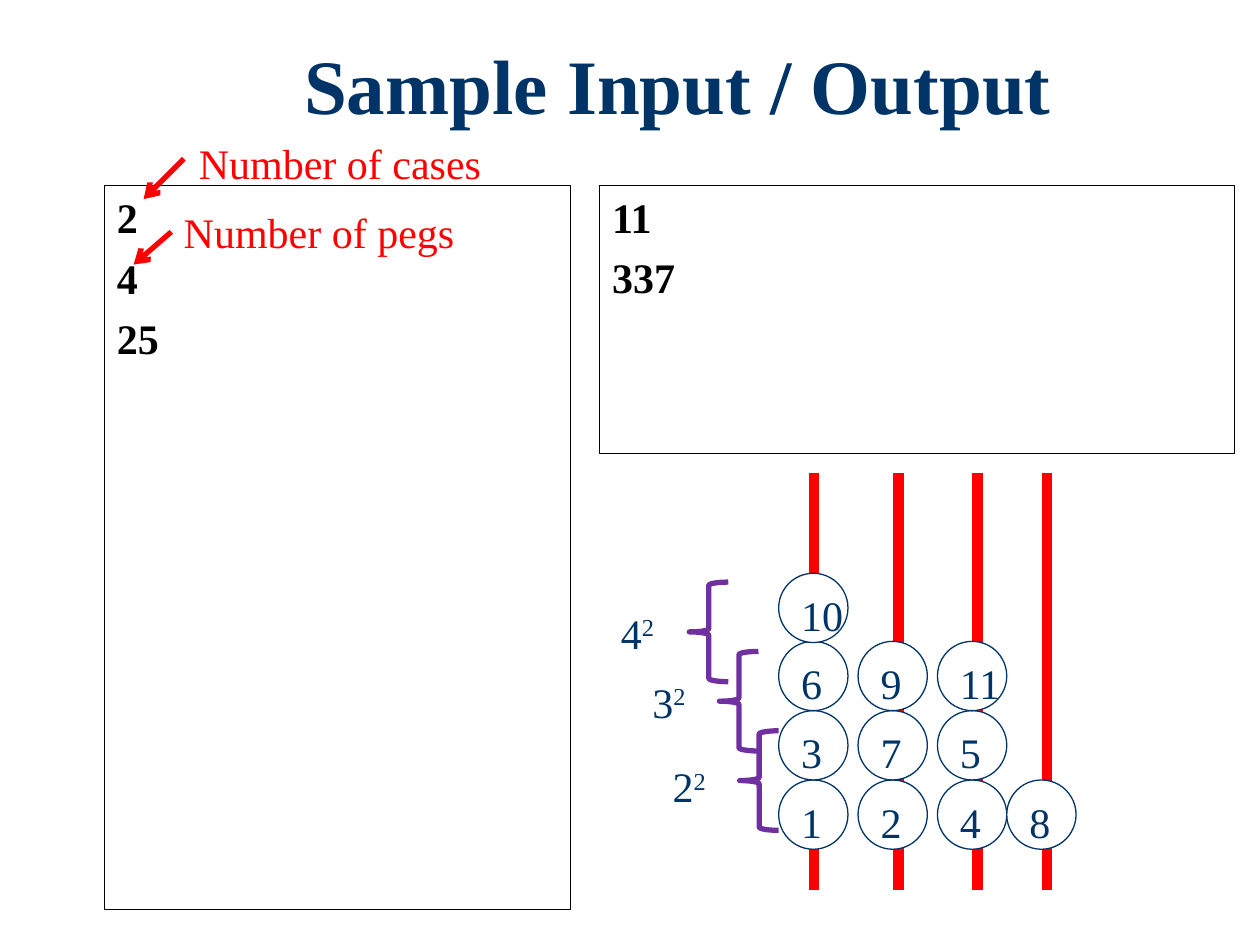
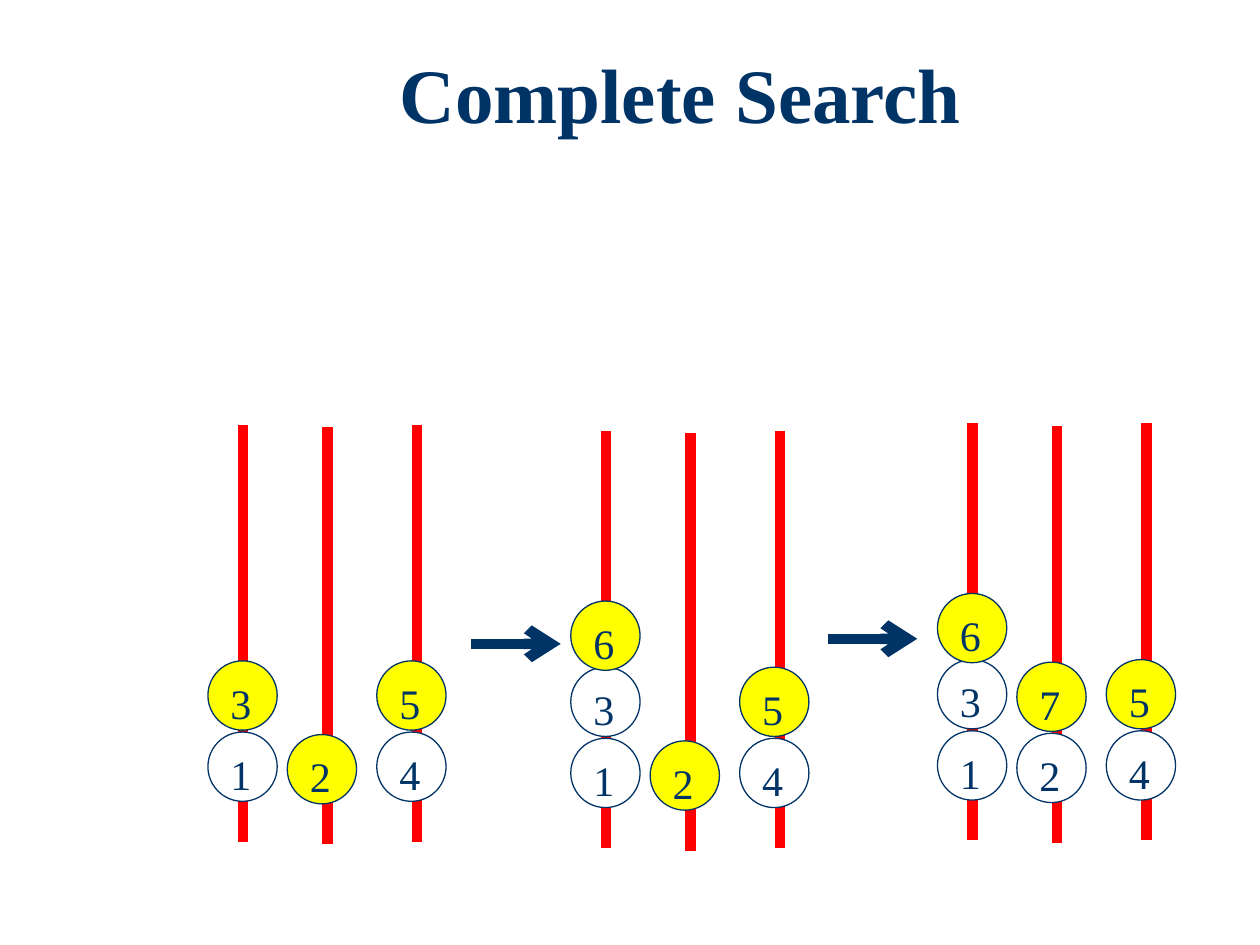
from dataclasses import dataclass
from typing import Any

from lxml.etree import SubElement
from pptx import Presentation
from pptx.dml.color import RGBColor
from pptx.enum.shapes import MSO_CONNECTOR, MSO_SHAPE
from pptx.enum.text import MSO_ANCHOR, PP_ALIGN
from pptx.oxml.ns import qn
from pptx.util import Emu, Inches, Pt

COLUMNS, ROWS = 100, 75
SLIDE_WIDTH, SLIDE_HEIGHT = Inches(10), Inches(7.5)
FONT = "Times New Roman"
NAVY, RED, PURPLE = "003366", "FF0000", "7030A0"
BLACK, WHITE, YELLOW = "000000", "FFFFFF", "FFFF00"

DISC_SIZE = 5.5
PEG_RISE, PEG_LENGTH = 24.4, 33.1
BRACE_WIDTH, BRACE_HEIGHT = 3.1, 7.9

TITLE_TEXT = {"size": Pt(44), "bold": True}
BODY_TEXT = {"size": Pt(24), "bold": True}
LABEL_TEXT = {"size": Pt(24), "bold": False}


@dataclass(frozen=True)
class Area:
    left: float
    top: float
    width: float
    height: float

    def lengths(self) -> tuple[Emu, Emu, Emu, Emu]:
        return across(self.left), down(self.top), across(self.width), down(self.height)


@dataclass(frozen=True)
class Peg:
    disc_offset: float
    line_offset: float
    drop: float = 0


@dataclass(frozen=True)
class Board:
    left: float
    base: float
    pegs: tuple[Peg, ...]
    rises: tuple[float, ...]
    stacks: tuple[tuple[int, ...], ...]
    top_fill: str = WHITE


@dataclass(frozen=True)
class Arrow:
    start: tuple[float, float]
    end: tuple[float, float]
    color: str
    weight: float


@dataclass(frozen=True)
class SquareMark:
    number: str
    brace_left: float
    brace_top: float
    label_left: float
    label_top: float


FOUR_PEGS = (Peg(0, 2.8), Peg(6.3, 9.5), Peg(12.6, 15.8), Peg(18.1, 21.3))
THREE_PEGS = (Peg(0, 2.8), Peg(6.3, 9.5, 0.2), Peg(13.4, 16.6))
SEARCH_RISES = (0, 5.65, 10.9)

SAMPLE_BOARD = Board(61.8, 61.9, FOUR_PEGS, (0, 5.5, 11, 16.4),
                     ((1, 3, 6, 10), (2, 7, 9), (4, 5, 11), (8,)))
SEARCH_BOARDS = tuple(
    Board(left, base, THREE_PEGS, SEARCH_RISES, stacks, YELLOW)
    for left, base, stacks in (
        (16.5, 58.1, ((1, 3), (2,), (4, 5))),
        (45.3, 58.6, ((1, 3, 6), (2,), (4, 5))),
        (74.4, 58.0, ((1, 3, 6), (2, 7), (4, 5))),
    )
)
SAMPLE_ARROWS = (
    Arrow((14.6, 12.6), (11.4, 15.8), RED, 3),
    Arrow((13.6, 18.4), (10.6, 21), RED, 3),
)
SEARCH_ARROWS = (
    Arrow((37.4, 51.1), (44.5, 51.1), NAVY, 6),
    Arrow((65.7, 50.7), (72.8, 50.7), NAVY, 6),
)
SAMPLE_PANELS = (
    (Area(8.3, 14.7, 37, 57.5), ("2", "4", "25")),
    (Area(47.6, 14.7, 50.4, 21.3), ("11", "337")),
)
SAMPLE_LABELS = (
    (Area(14.8, 10.4, 24.6, 5), "Number of cases"),
    (Area(13.6, 15.9, 23.7, 5), "Number of pegs"),
)
SQUARE_MARKS = (
    SquareMark("2", 58.7, 58, 52.4, 59.9),
    SquareMark("3", 57.1, 51.7, 50.8, 53.2),
    SquareMark("4", 54.7, 46.2, 48.3, 47.7),
)


def across(columns: float) -> Emu:
    return Emu(round(SLIDE_WIDTH * columns / COLUMNS))


def down(rows: float) -> Emu:
    return Emu(round(SLIDE_HEIGHT * rows / ROWS))


def color_of(value: str) -> RGBColor:
    return RGBColor.from_string(value)


def add_span(para: Any, text: str, color: str, style: dict[str, Any]) -> Any:
    span = para.add_run()
    span.text = text
    for name, value in {"name": FONT, **style}.items():
        setattr(span.font, name, value)
    span.font.color.rgb = color_of(color)
    return span


def add_textbox(page: Any, area: Area, wrap: bool = False) -> Any:
    box = page.shapes.add_textbox(*area.lengths())
    box.text_frame.word_wrap = wrap
    return box.text_frame


def add_title(page: Any, area: Area, text: str) -> None:
    frame = add_textbox(page, area, wrap=True)
    frame.vertical_anchor = MSO_ANCHOR.MIDDLE
    frame.margin_bottom = down(1.3)
    para = frame.paragraphs[0]
    para.alignment = PP_ALIGN.CENTER
    para.line_spacing = 0.9
    add_span(para, text, NAVY, TITLE_TEXT)


def add_outlined(page: Any, kind: MSO_SHAPE, area: Area, color: str,
                 weight: float, fill: str | None = None) -> Any:
    shape = page.shapes.add_shape(kind, *area.lengths())
    shape.shadow.inherit = False
    shape.line.color.rgb = color_of(color)
    shape.line.width = Pt(weight)
    if fill is None:
        shape.fill.background()
    else:
        shape.fill.solid()
        shape.fill.fore_color.rgb = color_of(fill)
    return shape


def add_panel(page: Any, area: Area, lines: tuple[str, ...]) -> None:
    frame = add_outlined(page, MSO_SHAPE.RECTANGLE, area, BLACK, 0.75).text_frame
    frame.word_wrap = True
    frame.vertical_anchor = MSO_ANCHOR.TOP
    for index, line in enumerate(lines):
        para = frame.add_paragraph() if index else frame.paragraphs[0]
        para.alignment = PP_ALIGN.JUSTIFY
        if index:
            para.space_before = Pt(5.8)
        add_span(para, line, BLACK, BODY_TEXT)


def add_line(page: Any, start: tuple[float, float], end: tuple[float, float],
             color: str, weight: float) -> Any:
    line = page.shapes.add_connector(
        MSO_CONNECTOR.STRAIGHT, across(start[0]), down(start[1]), across(end[0]), down(end[1]))
    line.line.color.rgb = color_of(color)
    line.line.width = Pt(weight)
    SubElement(line._element.spPr, qn("a:effectLst"))
    return line


def add_arrow(page: Any, arrow: Arrow) -> None:
    line = add_line(page, arrow.start, arrow.end, arrow.color, arrow.weight)
    outline = line._element.spPr.find(qn("a:ln"))
    SubElement(outline, qn("a:tailEnd"), type="arrow")


def add_disc(page: Any, left: float, top: float, number: int, fill: str) -> None:
    area = Area(left, top, DISC_SIZE, DISC_SIZE)
    frame = add_outlined(page, MSO_SHAPE.OVAL, area, NAVY, 0.75, fill).text_frame
    frame.word_wrap = False
    frame.vertical_anchor = MSO_ANCHOR.TOP
    para = frame.paragraphs[0]
    para.alignment = PP_ALIGN.LEFT
    add_span(para, str(number), NAVY, LABEL_TEXT)


def add_board(page: Any, board: Board) -> None:
    for peg, stack in zip(board.pegs, board.stacks):
        base = board.base + peg.drop
        line_left, line_top = board.left + peg.line_offset, base - PEG_RISE
        add_line(page, (line_left, line_top), (line_left, line_top + PEG_LENGTH), RED, 6)
        for number, rise in zip(stack, board.rises):
            fill = board.top_fill if number == stack[-1] else WHITE
            add_disc(page, board.left + peg.disc_offset, base - rise, number, fill)


def add_square_mark(page: Any, mark: SquareMark) -> None:
    area = Area(mark.brace_left, mark.brace_top, BRACE_WIDTH, BRACE_HEIGHT)
    add_outlined(page, MSO_SHAPE.LEFT_BRACE, area, PURPLE, 3)
    frame = add_textbox(page, Area(mark.label_left, mark.label_top, 4.8, 5))
    para = frame.paragraphs[0]
    add_span(para, mark.number, NAVY, LABEL_TEXT)
    exponent = add_span(para, "2", NAVY, LABEL_TEXT)
    exponent._r.get_or_add_rPr().set("baseline", "30000")


def build_sample(page: Any) -> None:
    add_title(page, Area(13.8, 2.9, 80, 9.2), "Sample Input / Output")
    for area, lines in SAMPLE_PANELS:
        add_panel(page, area, lines)
    for arrow in SAMPLE_ARROWS:
        add_arrow(page, arrow)
    for area, text in SAMPLE_LABELS:
        add_span(add_textbox(page, area).paragraphs[0], text, RED, LABEL_TEXT)
    add_board(page, SAMPLE_BOARD)
    for mark in SQUARE_MARKS:
        add_square_mark(page, mark)


def build_search(page: Any) -> None:
    add_title(page, Area(14, 3.6, 80, 9.2), "Complete Search")
    for arrow in SEARCH_ARROWS:
        add_arrow(page, arrow)
    for board in SEARCH_BOARDS:
        add_board(page, board)


def main() -> None:
    deck = Presentation()
    deck.slide_width, deck.slide_height = SLIDE_WIDTH, SLIDE_HEIGHT
    for build in (build_sample, build_search):
        build(deck.slides.add_slide(deck.slide_layouts[6]))
    deck.save("out.pptx")


if __name__ == "__main__":
    main()
